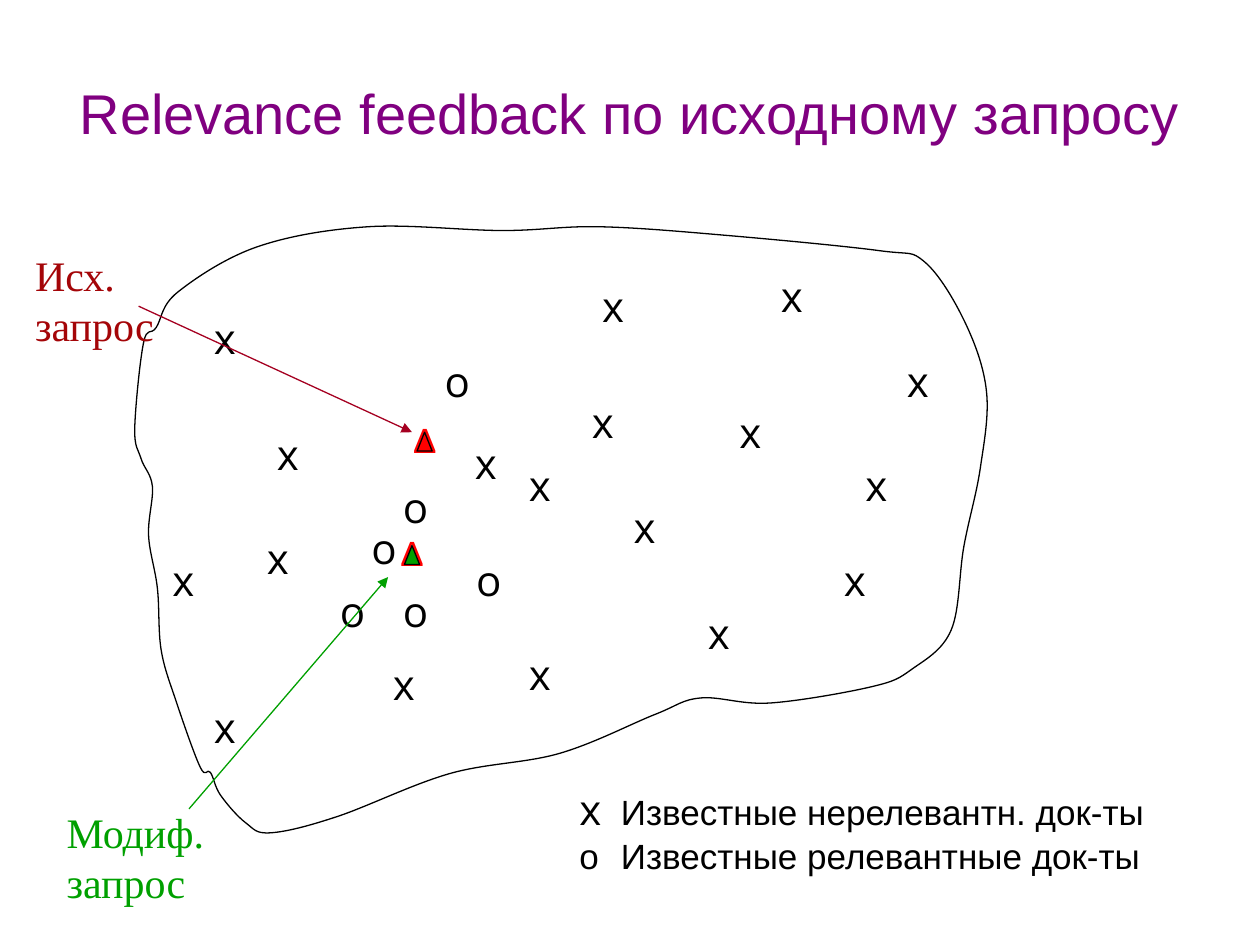
from lxml.etree import SubElement
from pptx import Presentation
from pptx.dml.color import RGBColor
from pptx.enum.shapes import MSO_CONNECTOR
from pptx.enum.text import MSO_ANCHOR, MSO_AUTO_SIZE, PP_ALIGN
from pptx.oxml.ns import qn
from pptx.util import Inches, Pt

TITLE = "Relevance feedback по исходному запросу"
SANS, MARK, SERIF = "Arial", "Open Sans", "Times New Roman"
BLACK, WHITE, RED, GREEN = "000000", "FFFFFF", "FF0000", "00A000"

# Document marks: left and top of each box
NONRELEVANT = [
    (4.1, 3.6), (4.6, 3.1), (4.93, 3.93), (2.02, 4.18), (3.67, 3.42),
    (4.68, 2.18), (2.1, 3.35), (5.77, 3.18), (1.6, 2.43), (6.1, 2.1),
    (1.6, 5.52), (1.27, 4.35), (4.1, 5.1), (3.02, 5.18), (6.77, 3.6),
    (5.52, 4.77), (6.6, 4.35), (7.1, 2.77),
]
RELEVANT = [(2.6, 4.6), (3.68, 4.35), (3.1, 4.6), (2.85, 4.1), (3.43, 2.77),
            (3.1, 3.77)]

# Queries: label, box, label colour, arrow from, arrow to, arrow colour,
# marker left and top, marker fill
QUERIES = [
    ("Модиф. запрос", (0.43, 6.35, 1.92, 0.9), GREEN,
     (1.5, 6.42), (3.08, 4.58), GREEN, (3.08, 4.17), GREEN),
    ("Исх. запрос", (0.18, 1.93, 1.43, 0.9), "A40508",
     (1.1, 2.43), (3.27, 3.43), "A50021", (3.18, 3.27), RED),
]

# Legend: mark, mark font, mark size, meaning
LEGEND = [("x", MARK, 24, "Известные нерелевантн. док-ты"),
          ("o", SANS, 20, "Известные релевантные док-ты")]

# Points that the smooth cloud outline passes through
CLOUD = [
    (1.59, 6.09), (1.4, 5.57), (1.28, 5.16), (1.25, 4.67), (1.18, 4.25),
    (1.21, 3.86), (1.12, 3.64), (1.07, 3.4), (1.14, 2.72), (1.24, 2.6),
    (1.41, 2.32), (2.04, 1.96), (2.92, 1.8), (3.99, 1.83), (4.76, 1.8),
    (5.78, 1.87), (6.98, 1.99), (7.34, 2.08), (7.66, 2.56), (7.83, 3.11),
    (7.78, 3.72), (7.65, 4.34), (7.55, 5.0), (7.24, 5.31), (6.92, 5.45),
    (6.11, 5.58), (5.56, 5.54), (5.2, 5.67), (4.44, 5.98), (3.57, 6.14),
    (2.68, 6.48), (2.15, 6.61), (1.95, 6.53), (1.75, 6.31), (1.67, 6.13),
]


def rgb(color):
    return RGBColor.from_string(color)


def style_run(r, font, size, color):
    r.font.name, r.font.size = font, Pt(size)
    r.font.color.rgb = rgb(color)


def add_text(shapes, box, text, font, size, color):
    tf = shapes.add_textbox(*map(Inches, box)).text_frame
    tf.word_wrap = True
    tf.text = text
    for r in tf.paragraphs[0].runs:
        style_run(r, font, size, color)
    return tf


def add_outline(shapes, points, fill):
    start, *rest = [(Inches(x), Inches(y)) for x, y in points]
    builder = shapes.build_freeform(*start)
    builder.add_line_segments(rest, close=True)
    sp = builder.convert_to_shape()
    sp.shadow.inherit = False
    sp.fill.solid()
    sp.fill.fore_color.rgb = rgb(fill)
    sp.line.color.rgb = rgb(BLACK)
    sp.line.width = Pt(0.75)
    return sp


def smooth_points(anchors):
    """Start, then two control points and an end point for every curve."""
    n = len(anchors)
    points = [anchors[0]]
    for i in range(n):
        before, a, b, after = [anchors[(i + k) % n] for k in (-1, 0, 1, 2)]
        points += [
            tuple(u + (v - t) / 6 for t, u, v in zip(before, a, b)),
            tuple(v - (w - u) / 6 for u, v, w in zip(a, b, after)),
            b]
    return points


def curve_segments(sp):
    """Turn every three straight segments into one Bezier curve."""
    segments = list(sp._element.iter(qn("a:lnTo")))
    for i in range(0, len(segments) - 2, 3):
        curve = SubElement(segments[i].getparent(), qn("a:cubicBezTo"))
        segments[i].addprevious(curve)
        for segment in segments[i:i + 3]:
            curve.append(segment[0])
            segment.getparent().remove(segment)


def add_arrow(shapes, start, end, color):
    line = shapes.add_connector(MSO_CONNECTOR.STRAIGHT,
                                *map(Inches, start + end))
    line.line.color.rgb = rgb(color)
    line.line.width = Pt(0.75)
    sp_pr = line._element.spPr
    SubElement(sp_pr.find(qn("a:ln")), qn("a:tailEnd"), type="triangle")
    SubElement(sp_pr, qn("a:effectLst"))


def add_query_marker(shapes, left, top, fill):
    group = shapes.add_group_shape().shapes
    add_text(group, (left, top, 0.5, 0.44), "Δ", SANS, 20, RED)
    x, y = left + 0.13, top + 0.16
    add_outline(group, [(x, y + 0.15), (x + 0.06, y), (x + 0.12, y + 0.15)],
                fill)


prs = Presentation()
prs.slide_width, prs.slide_height = Inches(10), Inches(7.5)
s = prs.slides.add_slide(prs.slide_layouts[5])
shapes = s.shapes

# Title
title = shapes.title
title.left, title.top, title.width, title.height = map(
    Inches, (0.5, 0.3, 9, 0.91))
tf = title.text_frame
tf.text = TITLE
tf.word_wrap = True
tf.auto_size = MSO_AUTO_SIZE.NONE
tf.vertical_anchor = MSO_ANCHOR.BOTTOM
p = tf.paragraphs[0]
p.alignment = PP_ALIGN.CENTER
style_run(p.runs[0], SANS, 32, "800080")

# Document cloud
curve_segments(add_outline(shapes, smooth_points(CLOUD), WHITE))

# Document marks
for mark, width, places in (("x", 0.33, NONRELEVANT), ("o", 0.67, RELEVANT)):
    for left, top in places:
        add_text(shapes, (left, top, width, 0.5), mark, MARK, 24, BLACK)

# Queries with arrows and markers
for label, box, color, start, end, arrow_color, place, fill in QUERIES:
    add_text(shapes, box, label, SERIF, 24, color)
    add_arrow(shapes, start, end, arrow_color)
    add_query_marker(shapes, *place, fill)

# Legend
tf = add_text(shapes, (4.5, 6.17, 4.92, 0.84), "", SANS, 20, BLACK)
for i, (mark, font, size, meaning) in enumerate(LEGEND):
    p = tf.add_paragraph() if i else tf.paragraphs[0]
    tabs = SubElement(p._p.get_or_add_pPr(), qn("a:tabLst"))
    SubElement(tabs, qn("a:tab"), pos=str(Inches(0.33)), algn="l")
    for text, run_font, run_size in ((mark, font, size),
                                     ("\t" + meaning, SANS, 20)):
        r = p.add_run()
        r.text = text
        style_run(r, run_font, run_size, BLACK)

prs.save("out.pptx")
